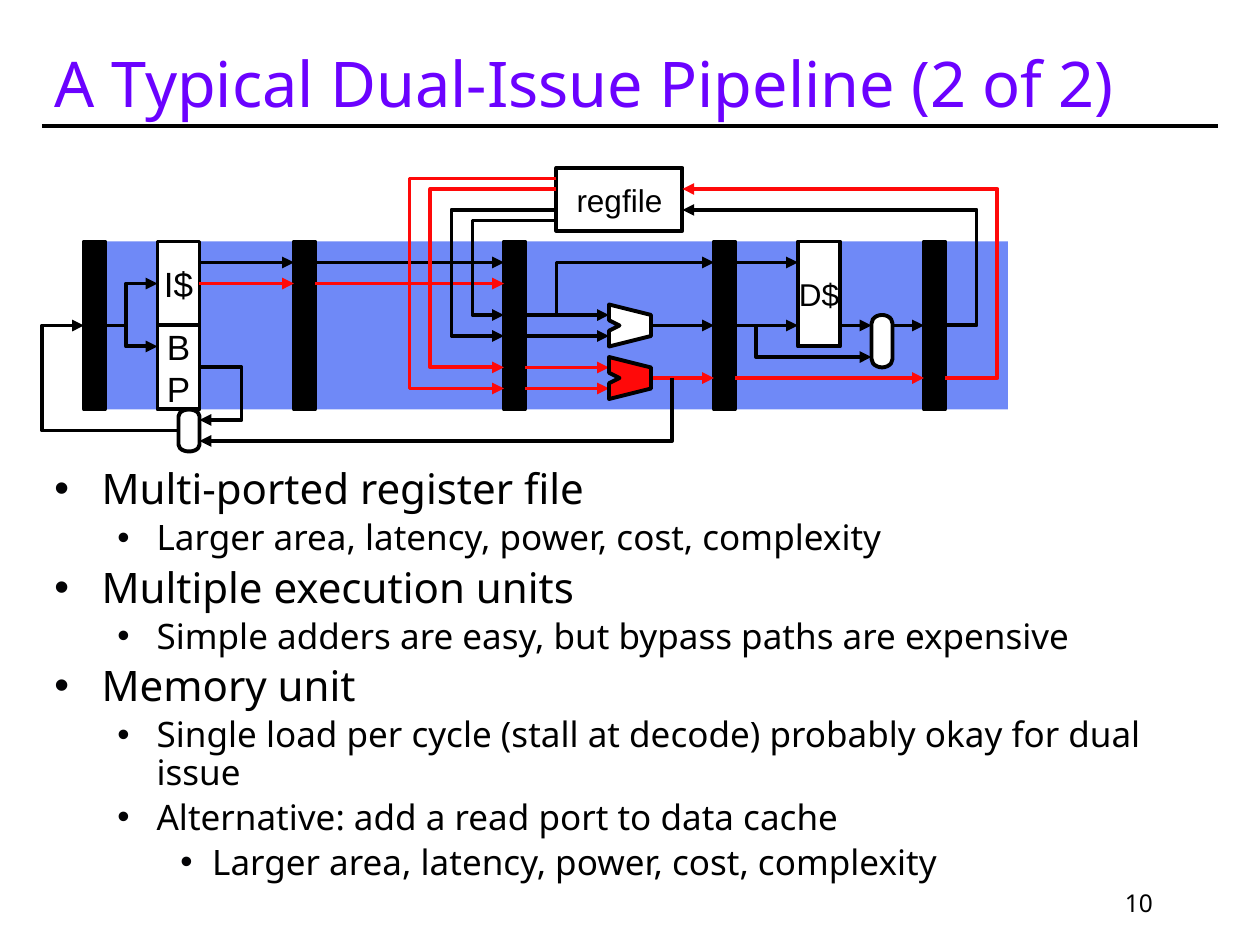
from typing import NamedTuple

from lxml.etree import SubElement
from pptx import Presentation
from pptx.dml.color import RGBColor
from pptx.enum.shapes import MSO_CONNECTOR, MSO_SHAPE
from pptx.enum.text import MSO_ANCHOR, MSO_AUTO_SIZE, PP_ALIGN
from pptx.oxml.ns import qn
from pptx.util import Cm, Pt

COLORS = {"black": "000000", "white": "FFFFFF", "red": "FF0909",
          "band": "6F89F7", "title": "6B02FF", "bullet": "030305"}
STROKE = Pt(2.25)


class Block(NamedTuple):
    left: float
    top: float
    width: float
    height: float
    fill: str = "white"
    label: str = ""
    size: int = 18
    outlined: bool = True
    kind: MSO_SHAPE = MSO_SHAPE.RECTANGLE
    rotation: int = 0


class Wire(NamedTuple):
    points: list
    color: str = "black"
    arrow: bool = True


class Bullet(NamedTuple):
    text: str
    level: int = 0


def grid(units: float) -> int:
    return Cm(units * 2.54 / 12)


def rgb(name: str) -> RGBColor:
    return RGBColor.from_string(COLORS[name])


def style_text(paragraph, size: int, font: str, color: str = "black") -> None:
    for run in paragraph.runs:
        run.font.size = Pt(size)
        run.font.name = font
        run.font.color.rgb = rgb(color)


def draw_block(shapes, block: Block) -> None:
    shape = shapes.add_shape(block.kind, *map(grid, block[:4]))
    shape.rotation = block.rotation
    shape.shadow.inherit = False
    shape.fill.solid()
    shape.fill.fore_color.rgb = rgb(block.fill)
    if block.outlined:
        shape.line.color.rgb = rgb("black")
        shape.line.width = STROKE
    else:
        shape.line.fill.background()
    if block.label:
        frame = shape.text_frame
        frame.text = block.label
        frame.word_wrap = False
        frame.vertical_anchor = MSO_ANCHOR.MIDDLE
        for paragraph in frame.paragraphs:
            paragraph.alignment = PP_ALIGN.CENTER
            style_text(paragraph, block.size, "Arial")


def draw_outline(shapes, points: list, close: bool):
    corners = [(grid(x), grid(y)) for x, y in points]
    builder = shapes.build_freeform(*corners[0])
    builder.add_line_segments(corners[1:], close=close)
    outline = builder.convert_to_shape()
    outline.shadow.inherit = False
    return outline


def draw_wire(shapes, wire: Wire) -> None:
    if len(wire.points) == 2:
        ends = [grid(value) for point in wire.points for value in point]
        line = shapes.add_connector(MSO_CONNECTOR.STRAIGHT, *ends)
        SubElement(line._element.spPr, qn("a:effectLst"))
    else:
        line = draw_outline(shapes, wire.points, close=False)
        line.fill.background()
    line.line.color.rgb = rgb(wire.color)
    line.line.width = STROKE
    if wire.arrow:
        SubElement(line.line._get_or_add_ln(), qn("a:tailEnd"), type="triangle")


def draw_alu(shapes, top: float, fill: str) -> None:
    alu = draw_outline(shapes, [(58, top), (58, top + 1.5), (59, top + 2), (58, top + 2.5),
                                (58, top + 4), (62, top + 3), (62, top + 1)], close=True)
    alu.fill.solid()
    alu.fill.fore_color.rgb = rgb(fill)
    alu.line.color.rgb = rgb("black")
    alu.line.width = STROKE


def write_bullets(frame, bullets: list) -> None:
    frame.text = "\n".join(bullet.text for bullet in bullets)
    frame.word_wrap = True
    for paragraph, bullet in zip(frame.paragraphs, bullets):
        size = 20 if bullet.level else 24
        indent, hanging = [(0.95, 0.95), (2.06, 0.79), (3.18, 0.64)][bullet.level]
        paragraph.level = bullet.level
        paragraph.line_spacing = 0.9
        paragraph.space_before = Pt(size * 0.2)
        style_text(paragraph, size, "Noto Sans")
        properties = paragraph._p.get_or_add_pPr()
        properties.set("marL", str(Cm(indent)))
        properties.set("indent", str(-Cm(hanging)))
        bullet_color = SubElement(properties, qn("a:buClr"))
        SubElement(bullet_color, qn("a:srgbClr"), val=COLORS["bullet"])
        SubElement(properties, qn("a:buFont"), typeface="Arial")
        SubElement(properties, qn("a:buChar"), char="•")


MUX = MSO_SHAPE.FLOWCHART_TERMINATOR
BLOCKS = [
    Block(10, 23, 86, 16, "band", outlined=False),
    *[Block(left, 23, 2, 16, "black") for left in range(8, 89, 20)],
    Block(53, 16, 12, 6, label="regfile"),
    Block(76, 23, 4, 10, label="D$"),
    Block(15, 23, 4, 8, label="I$", size=20),
    Block(15, 31, 4, 8, label="B\nP", size=20),
    Block(81.5, 31.5, 5, 2, kind=MUX, rotation=90),
    Block(16, 40, 4, 2, kind=MUX, rotation=90),
]

STRAIGHT_RUNS = [
    (70, 76, 31, "black"), (70, 76, 25, "black"), (50, 58, 30, "black"),
    (50, 58, 32, "black"), (80, 83, 31, "black"), (85, 88, 31, "black"),
    (19, 28, 25, "black"), (30, 48, 25, "black"), (62, 68, 31, "black"),
    (19, 28, 27, "red"), (30, 48, 27, "red"), (50, 58, 35, "red"),
    (50, 58, 37, "red"), (62, 68, 36, "red"), (70, 88, 36, "red"),
]
REGISTER_READS = [(21, 45, 30, "black"), (20, 43, 32, "black"),
                  (18, 41, 35, "red"), (17, 39, 37, "red")]
WRITEBACKS = [(31, 93, 20, "black"), (36, 95, 18, "red")]

WIRES = [
    Wire([(4, 12), (116, 12)], arrow=False),
    Wire([(10, 31), (12, 31)], arrow=False),
    *[Wire([(start, y), (end, y)], color) for start, end, y, color in STRAIGHT_RUNS],
    *[Wire([(53, port), (turn, port), (turn, y), (48, y)], color)
      for port, turn, y, color in REGISTER_READS],
    *[Wire([(90, y), (turn, y), (turn, port), (65, port)], color)
      for y, turn, port, color in WRITEBACKS],
    *[Wire([(12, 31), (12, y), (15, y)]) for y in (27, 33)],
    Wire([(53, 30), (53, 25), (68, 25)]),
    Wire([(72, 31), (72, 34), (83, 34)]),
    Wire([(19, 35), (23, 35), (23, 40), (19, 40)]),
    Wire([(64, 36), (64, 42), (19, 42)]),
    Wire([(17, 41), (4, 41), (4, 31), (8, 31)]),
]

BULLETS = [
    Bullet("Multi-ported register file"),
    Bullet("Larger area, latency, power, cost, complexity", 1),
    Bullet("Multiple execution units"),
    Bullet("Simple adders are easy, but bypass paths are expensive", 1),
    Bullet("Memory unit"),
    Bullet("Single load per cycle (stall at decode) probably okay for dual issue", 1),
    Bullet("Alternative: add a read port to data cache", 1),
    Bullet("Larger area, latency, power, cost, complexity", 2),
]

deck = Presentation()
deck.slide_width, deck.slide_height = Cm(25.4), Cm(19.05)
slide = deck.slides.add_slide(deck.slide_layouts[5])
shapes = slide.shapes

title = shapes.title
title.left, title.top, title.width, title.height = map(grid, (4, 3, 105, 9))
title.text_frame.text = "A Typical Dual-Issue Pipeline (2 of 2)"
title.text_frame.auto_size = MSO_AUTO_SIZE.NONE
title.text_frame.vertical_anchor = MSO_ANCHOR.BOTTOM
title.text_frame.paragraphs[0].alignment = PP_ALIGN.LEFT
style_text(title.text_frame.paragraphs[0], 36, "Noto Sans", "title")

for block in BLOCKS:
    draw_block(shapes, block)
for wire in WIRES:
    draw_wire(shapes, wire)
draw_alu(shapes, 29, "white")
draw_alu(shapes, 34, "red")

body = shapes.add_textbox(*map(grid, (4, 44, 112, 40)))
write_bullets(body.text_frame, BULLETS)

page_number = shapes.add_textbox(*map(grid, (86, 84, 25, 4))).text_frame
page_number.text = "10"
page_number.word_wrap = True
page_number.vertical_anchor = MSO_ANCHOR.BOTTOM
page_number.paragraphs[0].alignment = PP_ALIGN.RIGHT
style_text(page_number.paragraphs[0], 14, "Noto Sans")

deck.save("out.pptx")
